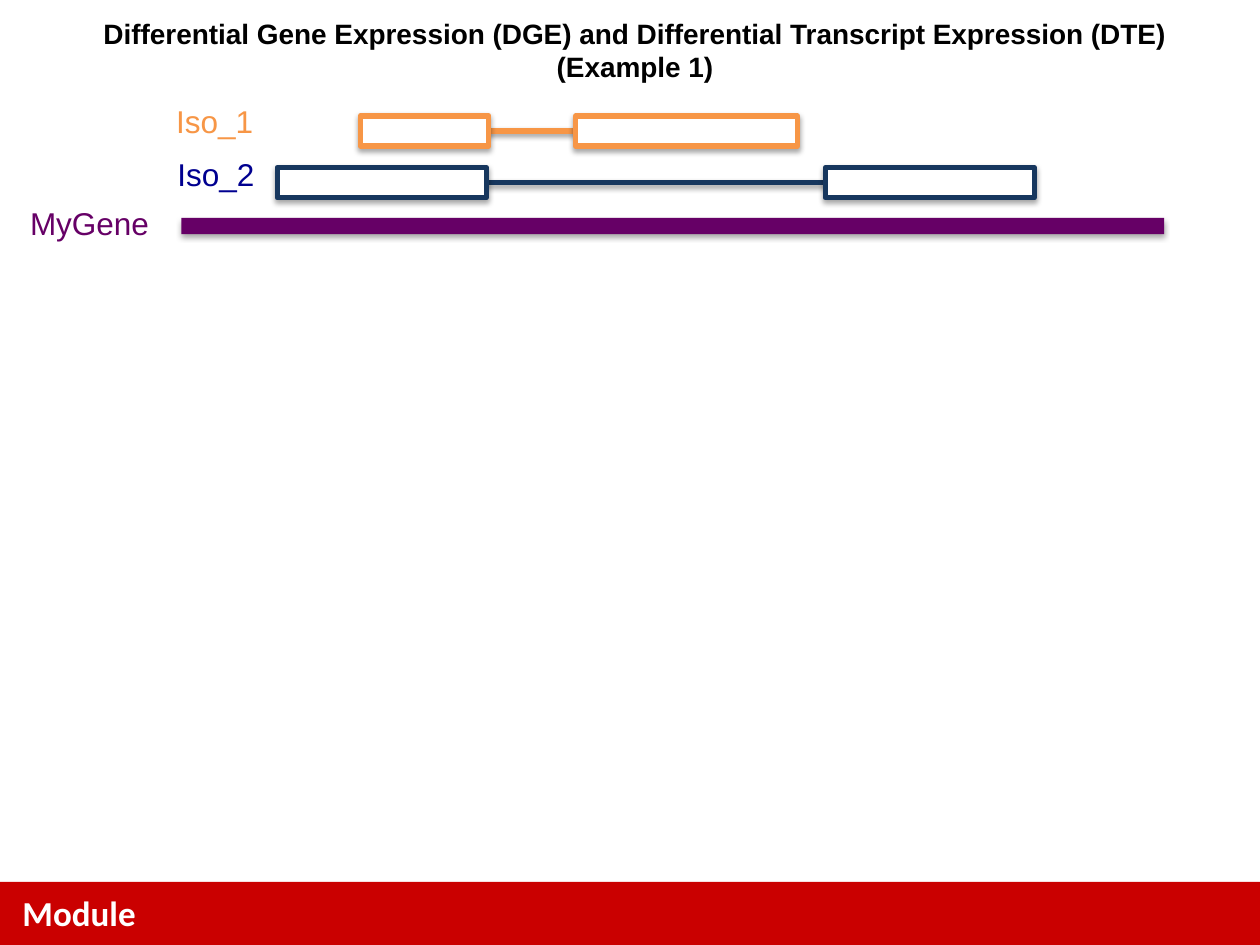
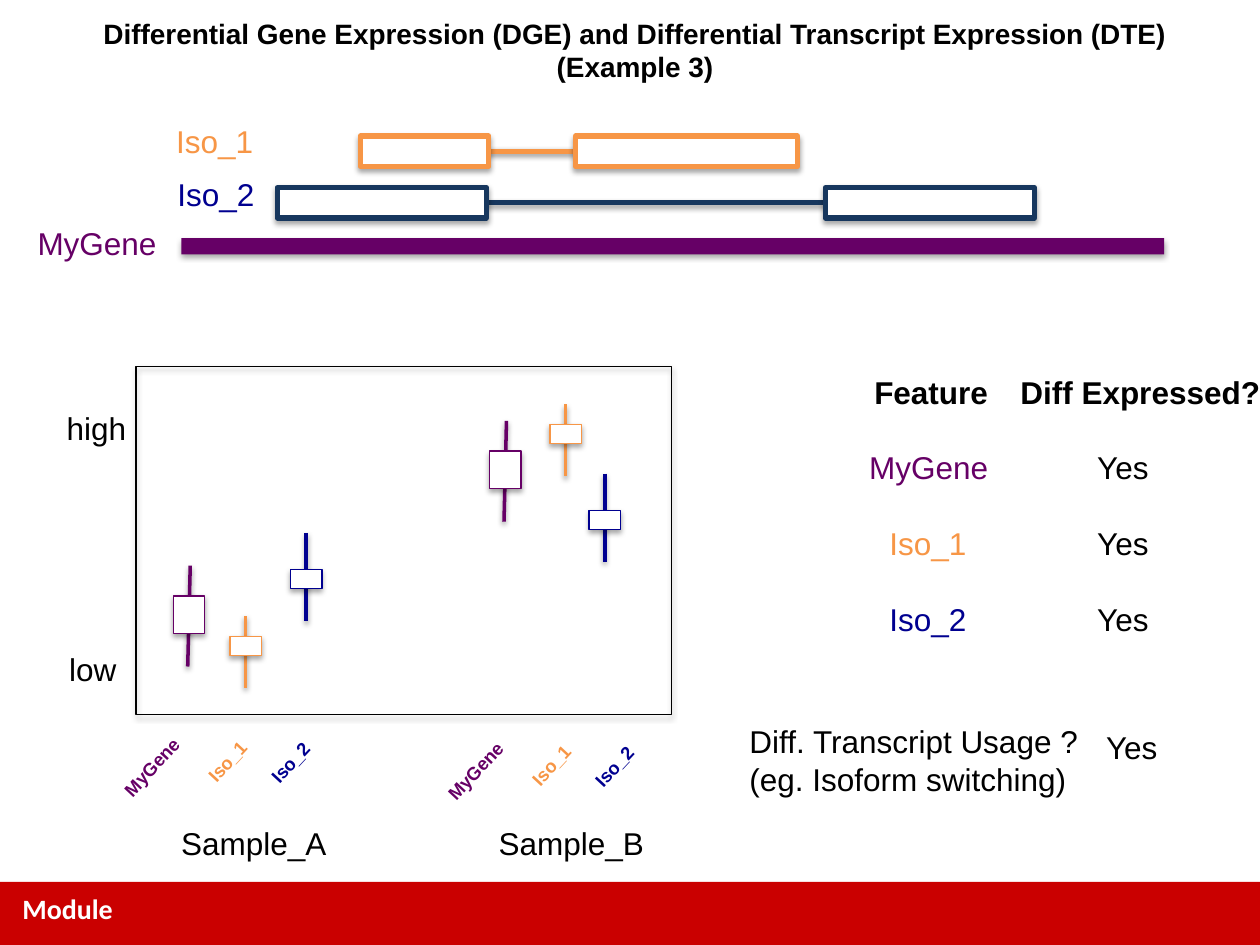
from lxml import etree
from pptx import Presentation
from pptx.dml.color import RGBColor
from pptx.enum.shapes import MSO_CONNECTOR, MSO_SHAPE
from pptx.enum.text import MSO_ANCHOR, MSO_AUTO_SIZE, PP_ALIGN
from pptx.util import Inches, Pt

RECT, LINE = MSO_SHAPE.RECTANGLE, MSO_CONNECTOR.STRAIGHT
LEFT, MID = PP_ALIGN.LEFT, PP_ALIGN.CENTER
TOP, GROW = MSO_ANCHOR.TOP, MSO_AUTO_SIZE.SHAPE_TO_FIT_TEXT
NS = "http://schemas.openxmlformats.org/drawingml/2006/main"

BLACK, WHITE, RED = "000000", "FFFFFF", "CA0000"
PURPLE, ORANGE, BLUE, NAVY = "660066", "F79646", "000090", "17375E"
TITLE = "Differential Gene Expression (DGE) and Differential Transcript Expression (DTE)"

PAGES = [
    {"title": "(Example 1)", "drop": 0, "gene": 0.14, "foot": 20, "tall": 0.43},
    {"title": "(Example 3)", "drop": 0.16, "gene": 0.2, "foot": 16, "tall": 0.37},
]

ISOFORMS = [
    {"name": "Iso_1", "ink": ORANGE, "edge": ORANGE, "label": (1.3, 0.76), "top": 0.92,
     "span": (3.13, 5.83), "exons": [(2.86, 1.02), (4.57, 1.76)]},
    {"name": "Iso_2", "ink": BLUE, "edge": NAVY, "label": (1.31, 1.18), "top": 1.33,
     "span": (3.5, 7.59), "exons": [(2.2, 1.66), (6.55, 1.66)]},
]
EXON = 0.24

MARKS = {
    "MyGene": {"ink": PURPLE, "reach": 0.8, "inset": 0.24, "tall": 0.3, "lean": 0.01, "wide": 0.81},
    "Iso_1": {"ink": ORANGE, "reach": 0.57, "inset": 0.16, "tall": 0.15, "lean": 0, "wide": 0.6},
    "Iso_2": {"ink": BLUE, "reach": 0.7, "inset": 0.29, "tall": 0.15, "lean": 0, "wide": 0.6},
}
BOX = 0.25
SAMPLES = [
    {"name": "Sample_A", "left": 1.34, "plots": [
        ("MyGene", 1.5, 4.49, 0.82, 5.93),
        ("Iso_1", 1.95, 4.89, 1.52, 5.89),
        ("Iso_2", 2.43, 4.23, 2.02, 5.9)]},
    {"name": "Sample_B", "left": 3.86, "plots": [
        ("MyGene", 4.01, 3.34, 3.39, 5.96),
        ("Iso_1", 4.49, 3.21, 4.09, 5.92),
        ("Iso_2", 4.8, 3.76, 4.59, 5.93)]},
]
LEVELS = [("high", 0.43, 3.2, 0.68), ("low", 0.45, 5.11, 0.59)]
HEADS = [("Feature", 6.84, 1.11), ("Diff Expressed?", 8, 2.12)]
ROWS = [("MyGene", 6.8, 1.16, "Yes"), ("Iso_1", 6.96, 0.82, "Yes"), ("Iso_2", 6.96, 0.82, "Yes")]
FIRST, PITCH = 2.91, 0.6
USAGE = ["Diff. Transcript Usage ?", "(eg. Isoform switching)"]


def hue(code):
    return RGBColor.from_string(code)


def shade(item, dist, alpha):
    glow = etree.SubElement(item._element.spPr, f"{{{NS}}}effectLst")
    drop = etree.SubElement(glow, f"{{{NS}}}outerShdw", blurRad=str(Pt(3.1)),
                            dist=str(Pt(dist)), dir="5400000", rotWithShape="0")
    tint = etree.SubElement(drop, f"{{{NS}}}srgbClr", val=BLACK)
    etree.SubElement(tint, f"{{{NS}}}alpha", val=str(alpha * 1000))


def say(slide, text, at, size=18, ink=BLACK, bold=False, font="Arial",
        align=LEFT, wrap=False, turn=0, shape=None):
    place = [Inches(v) for v in at]
    shape = shape or slide.shapes.add_textbox(*place)
    shape.left, shape.top, shape.width, shape.height = place
    shape.rotation = turn
    frame = shape.text_frame
    frame.word_wrap, frame.auto_size, frame.vertical_anchor = wrap, GROW, TOP
    for n, line in enumerate([text] if isinstance(text, str) else text):
        para = frame.add_paragraph() if n else frame.paragraphs[0]
        para.alignment = align
        run = para.add_run()
        run.text = line
        run.font.name, run.font.size, run.font.bold = font, Pt(size), bold
        run.font.color.rgb = hue(ink)


def block(slide, at, fill=None, edge=None, width=0.75, soft=True):
    shape = slide.shapes.add_shape(RECT, *[Inches(v) for v in at])
    if fill:
        shape.fill.solid()
        shape.fill.fore_color.rgb = hue(fill)
    else:
        shape.fill.background()
    if edge:
        shape.line.color.rgb = hue(edge)
        shape.line.width = Pt(width)
    else:
        shape.line.fill.background()
    if soft:
        shade(shape, 1.8, 35)
    else:
        shape.shadow.inherit = False


def link(slide, ends, ink, width):
    line = slide.shapes.add_connector(LINE, *[Inches(v) for v in ends])
    line.line.color.rgb = hue(ink)
    line.line.width = Pt(width)
    shade(line, 1.6, 38)


def base(deck, page):
    slide = deck.slides.add_slide(deck.slide_layouts[5])
    say(slide, [TITLE, page["title"]], (0.67, 0.08, 8.74, 0.64), size=16, bold=True,
        align=MID, shape=slide.shapes.title)
    block(slide, (0, 7, 10, 0.5), fill=RED, soft=False)
    say(slide, "Module", (0.08, 7.03, 7.33, page["tall"]), size=page["foot"], ink=WHITE,
        bold=True, font="Calibri", wrap=True)
    return slide


def genes(slide, drop, left):
    block(slide, (1.44, 1.73 + drop, 7.8, 0.13), fill=PURPLE)
    say(slide, "MyGene", (left, 1.57 + drop, 1.16, 0.4), ink=PURPLE)
    for iso in ISOFORMS:
        top = iso["top"] + drop
        mid = top + EXON / 2
        start, end = iso["span"]
        link(slide, (start, mid, end, mid), iso["edge"], 3)
        for x, wide in iso["exons"]:
            block(slide, (x, top, wide, EXON), fill=WHITE, edge=iso["edge"], width=3)
        x, y = iso["label"]
        say(slide, iso["name"], (x, y + drop, 0.82, 0.4), ink=iso["ink"])


def plot(slide):
    block(slide, (1.08, 2.91, 4.25, 2.76), edge=BLACK)
    for word, x, y, wide in LEVELS:
        say(slide, word, (x, y, wide, 0.4))
    for sample in SAMPLES:
        say(slide, sample["name"], (sample["left"], 6.49, 1.37, 0.4))
        for name, x, top, left, low in sample["plots"]:
            mark = MARKS[name]
            ink, lean = mark["ink"], mark["lean"]
            link(slide, (x + lean, top, x - lean, top + mark["reach"]), ink, 2)
            block(slide, (x - BOX / 2, top + mark["inset"], BOX, mark["tall"]),
                  fill=WHITE, edge=ink)
            say(slide, name, (left, low, mark["wide"], 0.29), size=10.5, ink=ink,
                bold=True, turn=312.9)


def results(slide):
    for head, x, wide in HEADS:
        say(slide, head, (x, FIRST, wide, 0.4), bold=True)
    for n, (name, x, wide, state) in enumerate(ROWS, 1):
        y = FIRST + n * PITCH
        say(slide, name, (x, y, wide, 0.4), ink=MARKS[name]["ink"])
        say(slide, state, (8.61, y, 0.61, 0.4))
    say(slide, USAGE, (5.85, 5.68, 2.83, 0.71))
    say(slide, "Yes", (8.68, 5.73, 0.61, 0.4))


def main():
    deck = Presentation()
    deck.slide_width, deck.slide_height = Inches(10), Inches(7.5)
    for page in PAGES:
        slide = base(deck, page)
        genes(slide, page["drop"], page["gene"])
    plot(slide)
    results(slide)
    deck.save("out.pptx")


if __name__ == "__main__":
    main()
